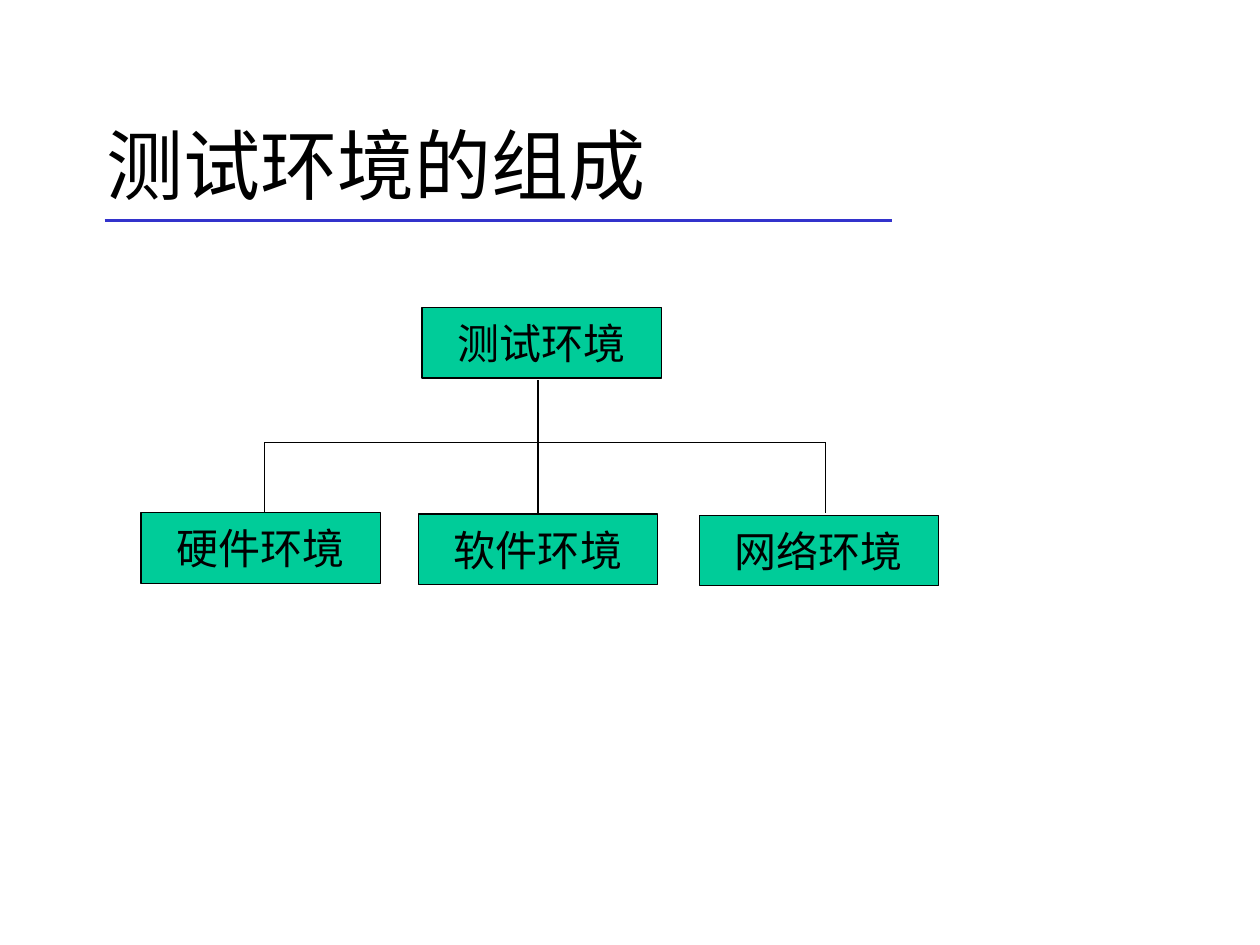
from lxml import etree
from pptx import Presentation
from pptx.dml.color import RGBColor
from pptx.enum.shapes import MSO_CONNECTOR, MSO_SHAPE
from pptx.enum.text import MSO_ANCHOR, PP_ALIGN
from pptx.oxml.ns import qn
from pptx.util import Inches, Pt

STRAIGHT = MSO_CONNECTOR.STRAIGHT
RECTANGLE = MSO_SHAPE.RECTANGLE
MIDDLE = MSO_ANCHOR.MIDDLE
CENTER = PP_ALIGN.CENTER

BLACK = RGBColor(0x00, 0x00, 0x00)
WHITE = RGBColor(0xFF, 0xFF, 0xFF)
GREEN = RGBColor(0x00, 0xCC, 0x99)
BLUE = RGBColor(0x33, 0x33, 0xCC)

CHINESE_FONT = "Noto Sans CJK SC"
BOX_FONT = "Times New Roman"
BOX_WIDTH, BOX_HEIGHT = 1.9, 0.56
BRANCH_TOP = 3.51
TRUNK_X = 4.27
CHILDREN = [
    ("硬件环境", 1.12, 4.07),
    ("软件环境", 3.32, 4.08),
    ("网络环境", 5.55, 4.09),
]
OUTER_BRANCHES = [(2.1, 4.06), (6.55, 4.07)]


def set_text(shape, text, size, font_name):
    """Put one line of black text, vertically centred, in a shape."""
    text_frame = shape.text_frame
    text_frame.text = text
    text_frame.vertical_anchor = MIDDLE
    font = text_frame.paragraphs[0].runs[0].font
    font.size = Pt(size)
    font.color.rgb = BLACK
    font.name = font_name
    properties = text_frame.paragraphs[0].runs[0]._r.get_or_add_rPr()
    etree.SubElement(properties, qn("a:ea"), typeface=CHINESE_FONT)


def add_title(slide, text):
    """Add the slide title."""
    title = slide.shapes.add_textbox(
        Inches(0.75), Inches(0.67), Inches(8.5), Inches(1.25)
    )
    set_text(title, text, 44, CHINESE_FONT)
    title.text_frame.word_wrap = True


def add_box(slide, text, left, top):
    """Add one green box of the tree and return it."""
    box = slide.shapes.add_shape(
        RECTANGLE, Inches(left), Inches(top), Inches(BOX_WIDTH), Inches(BOX_HEIGHT)
    )
    box.shadow.inherit = False
    box.fill.solid()
    box.fill.fore_color.rgb = GREEN
    box.line.color.rgb = BLACK
    box.line.width = Pt(0.75)
    set_text(box, text, 24, BOX_FONT)
    box.text_frame.word_wrap = False
    box.text_frame.paragraphs[0].alignment = CENTER
    return box


def add_line(slide, start, end, color=BLACK, width=0.75):
    """Add a straight line without shadow and return it."""
    line = slide.shapes.add_connector(
        STRAIGHT, *(Inches(length) for length in (*start, *end))
    )
    line.line.color.rgb = color
    line.line.width = Pt(width)
    etree.SubElement(line._element.spPr, qn("a:effectLst"))
    return line


def add_tree(slide):
    """Add the root box, its three children and the lines between them."""
    add_box(slide, "测试环境", 3.35, 2.44)
    children = [add_box(slide, *child) for child in CHILDREN]
    add_line(slide, (2.1, BRANCH_TOP), (6.55, BRANCH_TOP))
    trunk = add_line(slide, (TRUNK_X, 3.02), (TRUNK_X, 4.08))
    trunk.end_connect(children[1], 0)
    for x, bottom in OUTER_BRANCHES:
        add_line(slide, (x, BRANCH_TOP), (x, bottom))


def main():
    """Build and save the slide."""
    presentation = Presentation()
    presentation.slide_width = Inches(10)
    presentation.slide_height = Inches(7.5)
    slide = presentation.slides.add_slide(presentation.slide_layouts[6])
    slide.background.fill.solid()
    slide.background.fill.fore_color.rgb = WHITE
    add_line(slide, (0.83, 1.75), (7.08, 1.75), BLUE, 2.25)
    add_title(slide, "测试环境的组成")
    add_tree(slide)
    presentation.save("out.pptx")


if __name__ == "__main__":
    main()
